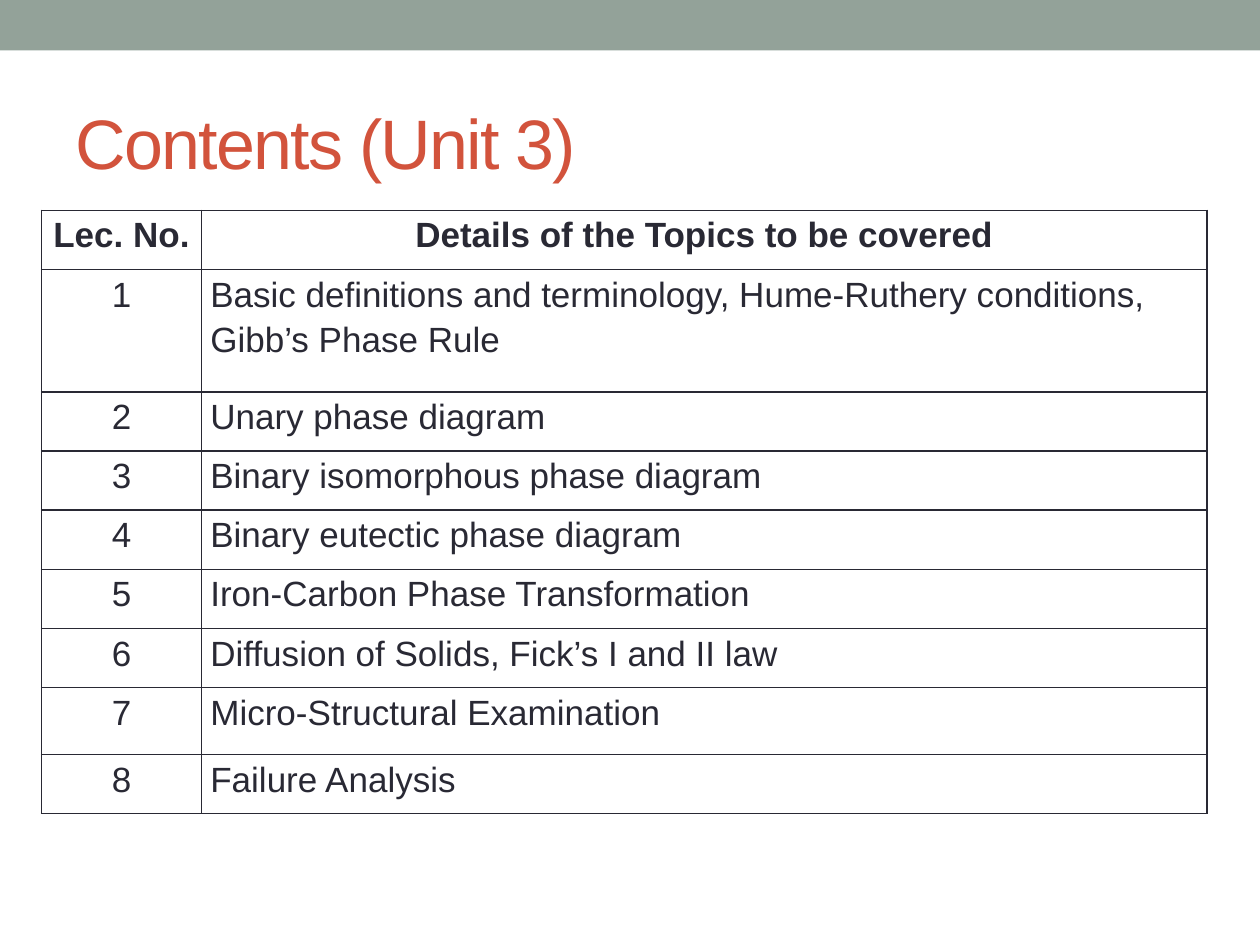
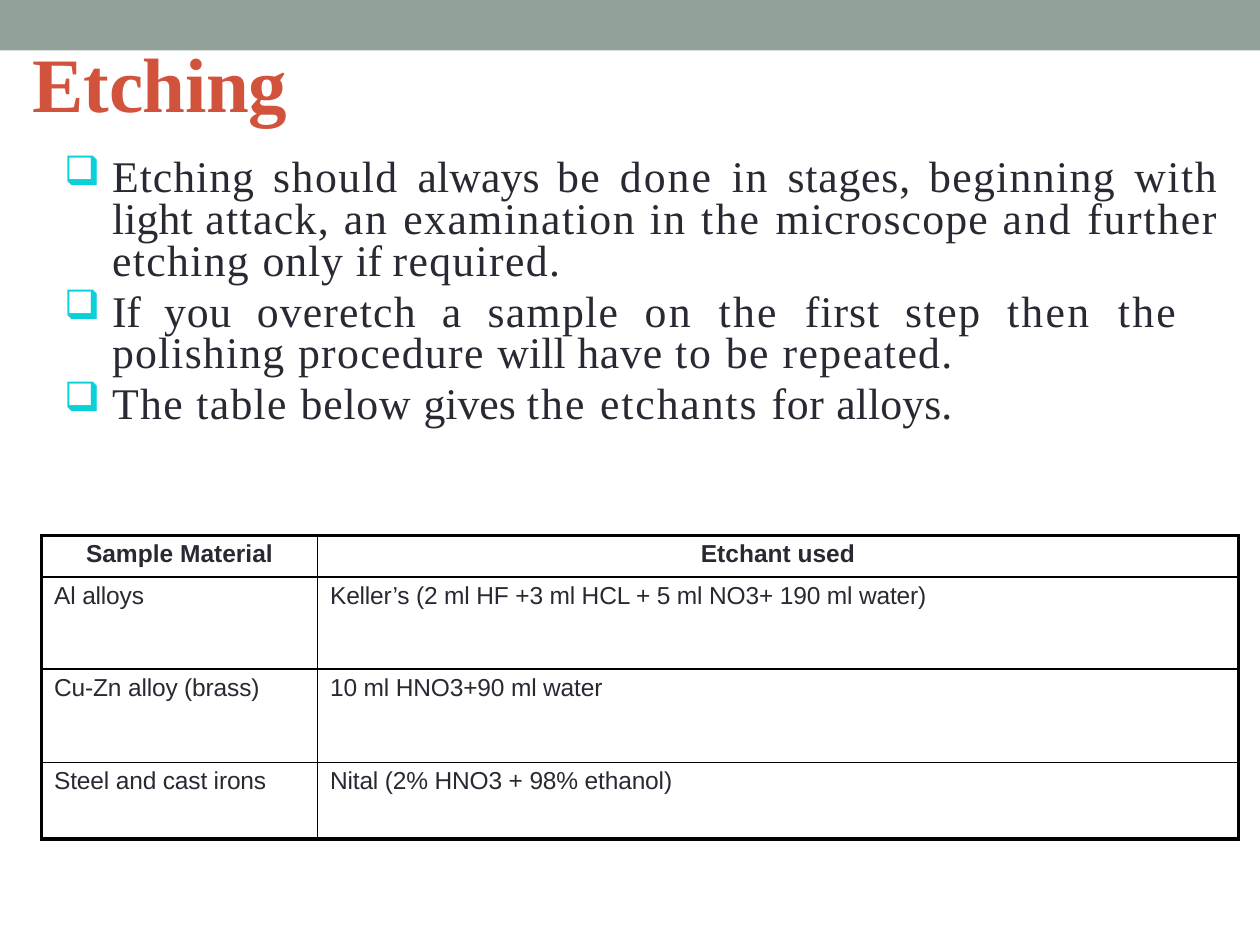
from dataclasses import dataclass

from lxml import etree
from pptx import Presentation
from pptx.dml.color import RGBColor
from pptx.enum.shapes import MSO_SHAPE as Preset
from pptx.enum.text import MSO_ANCHOR as Anchor, PP_ALIGN as Align
from pptx.oxml.ns import qn
from pptx.util import Inches, Pt


@dataclass(frozen=True)
class Theme:
    band: str = "93A299"
    title: str = "D2533C"
    ink: str = "292934"
    rule: str = "000000"
    bullet: str = "0AD0D9"
    sans: str = "Arial"
    serif: str = "Times New Roman"
    contents_title: float = 40
    etching_title: float = 44
    body: float = 25
    topics: float = 20
    etchants: float = 14
    thin: float = 1
    thick: float = 2.25


@dataclass(frozen=True)
class Box:
    """A place on the slide, in grid columns and rows."""
    left: float
    top: float
    width: float
    height: float

    def place(self):
        return [grid(n) for n in (self.left, self.top, self.width, self.height)]


@dataclass(frozen=True)
class TableStyle:
    size: float
    line_color: str
    frame: float
    inset: tuple
    line_spacing: float = 1.0
    tracking: float = 0
    number_column: bool = False


THEME = Theme()
COLUMNS, ROWS = 100, 75
UNIT = Inches(10) // COLUMNS

BAND = Box(0, 0, COLUMNS, 4)
CONTENTS_TITLE = Box(5, 5.8, 90, 10.8)
TOPICS_TABLE = Box(3.3, 16.7, 92.5, 48.1)
ETCHING_TITLE = Box(2.5, 2.5, 24.3, 7.8)
ADVICE = Box(5, 11.7, 91.7, 26.1)
ETCHANT_TABLE = Box(3.3, 42.5, 95, 24.2)

TOPICS = [
    "Basic definitions and terminology, Hume-Ruthery conditions, Gibb’s Phase Rule",
    "Unary phase diagram",
    "Binary isomorphous phase diagram",
    "Binary eutectic phase diagram",
    "Iron-Carbon Phase Transformation",
    "Diffusion of Solids, Fick’s I and II law",
    "Micro-Structural Examination",
    "Failure Analysis",
]

ETCHANTS = [
    ("Sample Material", "Etchant used"),
    ("Al alloys", "Keller’s (2 ml HF +3 ml HCL + 5 ml NO3+ 190 ml water)"),
    ("Cu-Zn alloy (brass)", "10 ml HNO3+90 ml water"),
    ("Steel and cast irons", "Nital (2% HNO3 + 98% ethanol)"),
]

# Each point: right margin in grid columns, then words with their letter spacing.
ADVICE_POINTS = [
    (0, [("Etching ", 0.6), ("should ", 0.9), ("always ", 0.1), ("be ", 0.9),
         ("done ", 1.2), ("in ", 0.9), ("stages, ", 0.5), ("beginning ", 0.8),
         ("with ", 0.9), ("light ", 0.1), ("attack, ", 0.8), ("an ", 1.2),
         ("examination in ", 0.9), ("the ", 1.3), ("microscope ", 0.7),
         ("and ", 1.4), ("further ", 1), ("etching ", 0.8), ("only ", 0.5),
         ("if ", -0.2), ("required.", 0.8)]),
    (3.2, [("If ", -0.2), ("you ", 0.5), ("overetch ", 0.7), ("a sample ", 0.8),
           ("on the ", 1.3), ("first ", 0.6), ("step ", 0.9), ("then ", 1.4),
           ("the ", 1.3), ("polishing ", 0.7), ("procedure ", 0.8),
           ("will ", 0.1), ("have ", 0.5), ("to ", 1.1), ("be ", 0.9),
           ("repeated.", 0.8)]),
    (0, [("The table ", 0.8), ("below ", 0.5), ("gives ", 0), ("the ", 1.3),
         ("etchants ", 1.1), ("for ", 0.4), ("alloys.", 0.1)]),
]


def grid(units):
    return round(units * UNIT)


def rgb(color):
    return RGBColor.from_string(color)


def style_run(run, size, face, color, bold=False, tracking=0):
    run.font.size = Pt(size)
    run.font.name = face
    run.font.bold = bold
    run.font.color.rgb = rgb(color)
    if tracking:
        run.font._element.set("spc", str(round(tracking * 100)))


def set_insets(target, inset):
    """Set left, top, right and bottom margins of a text frame or cell."""
    (target.margin_left, target.margin_top,
     target.margin_right, target.margin_bottom) = map(Inches, inset)


def add_text_frame(slide, box, inset, anchor=Anchor.TOP):
    frame = slide.shapes.add_textbox(*box.place()).text_frame
    frame.word_wrap = True
    frame.vertical_anchor = anchor
    set_insets(frame, inset)
    return frame


def add_band(slide, box):
    band = slide.shapes.add_shape(Preset.RECTANGLE, *box.place())
    band.shadow.inherit = False
    band.fill.solid()
    band.fill.fore_color.rgb = rgb(THEME.band)
    band.line.fill.background()


def add_title(slide, box, title, size, face, inset, bold=False, tracking=0):
    frame = add_text_frame(slide, box, inset, Anchor.MIDDLE)
    frame.text = title
    style_run(frame.paragraphs[0].runs[0], size, face, THEME.title, bold, tracking)


def add_bullet(paragraph, right_margin):
    props = paragraph._p.get_or_add_pPr()
    props.set("marL", str(Inches(0.39)))
    props.set("indent", str(Inches(-0.38)))
    props.set("marR", str(grid(right_margin)))
    color = etree.SubElement(props, qn("a:buClr"))
    etree.SubElement(color, qn("a:srgbClr"), val=THEME.bullet)
    etree.SubElement(props, qn("a:buSzPct"), val="93000")
    etree.SubElement(props, qn("a:buChar"), char="❑")


def add_advice(slide, box, points):
    frame = add_text_frame(slide, box, (0, 0.1, 0, 0))
    for index, (right_margin, words) in enumerate(points):
        point = frame.add_paragraph() if index else frame.paragraphs[0]
        add_bullet(point, right_margin)
        point.alignment = Align.JUSTIFY
        point.line_spacing = Pt(23.8)
        if index:
            point.space_before = Pt(5.2)
        for word, tracking in words:
            run = point.add_run()
            run.text = word
            style_run(run, THEME.body, THEME.serif, THEME.ink, tracking=tracking)


def draw_borders(cell, color, widths):
    """Draw the left, right, top and bottom borders of a cell."""
    props = cell._tc.get_or_add_tcPr()
    for side, width in zip("LRTB", widths):
        line = etree.SubElement(props, qn(f"a:ln{side}"), w=str(Pt(width)))
        fill = etree.SubElement(line, qn("a:solidFill"))
        etree.SubElement(fill, qn("a:srgbClr"), val=color)


def add_ruled_table(slide, box, rows, column_widths, row_heights, style):
    last_row, last_column = len(rows) - 1, len(column_widths) - 1
    table = slide.shapes.add_table(len(rows), len(column_widths), *box.place()).table
    table.first_row = table.horz_banding = False
    for column, width in zip(table.columns, column_widths):
        column.width = grid(width)
    for row, height in zip(table.rows, row_heights):
        row.height = grid(height)

    for r, texts in enumerate(rows):
        for c, text in enumerate(texts):
            cell = table.cell(r, c)
            edges = (c == 0, c == last_column, r == 0, r == last_row)
            draw_borders(cell, style.line_color,
                         [style.frame if edge else THEME.thin for edge in edges])
            cell.fill.background()
            set_insets(cell, style.inset)
            cell.text_frame.text = text
            paragraph = cell.text_frame.paragraphs[0]
            paragraph.line_spacing = style.line_spacing
            header = r == 0
            centred = header or (style.number_column and c == 0)
            paragraph.alignment = Align.CENTER if centred else Align.LEFT
            style_run(paragraph.runs[0], style.size, THEME.sans, THEME.ink,
                      header, 0 if header else style.tracking)


def add_banded_slide(deck):
    slide = deck.slides.add_slide(deck.slide_layouts[6])
    add_band(slide, BAND)
    return slide


def build_contents(deck):
    slide = add_banded_slide(deck)
    add_title(slide, CONTENTS_TITLE, "Contents (Unit 3)", THEME.contents_title,
              THEME.sans, (0.1, 0.05, 0.1, 0.05), tracking=-1)
    lectures = [(str(number), topic) for number, topic in enumerate(TOPICS, 1)]
    rows = [("Lec. No.", "Details of the Topics to be covered"), *lectures]
    heights = [4.7, 9.7] + [4.7] * 5 + [5.3, 4.7]
    style = TableStyle(THEME.topics, THEME.ink, THEME.thin, (0.07, 0, 0.07, 0),
                       line_spacing=1.15, number_column=True)
    add_ruled_table(slide, TOPICS_TABLE, rows, (12.7, 79.8), heights, style)


def build_etching(deck):
    slide = add_banded_slide(deck)
    add_title(slide, ETCHING_TITLE, "Etching", THEME.etching_title, THEME.serif,
              (0.01, 0.02, 0, 0), bold=True, tracking=-0.2)
    add_advice(slide, ADVICE, ADVICE_POINTS)
    style = TableStyle(THEME.etchants, THEME.rule, THEME.thick,
                       (0.1, 0.04, 0.1, 0), tracking=-0.1)
    add_ruled_table(slide, ETCHANT_TABLE, ETCHANTS, (21.9, 73.1),
                    (3.3, 7.3, 7.4, 6.1), style)


def main():
    deck = Presentation()
    deck.slide_width = COLUMNS * UNIT
    deck.slide_height = ROWS * UNIT
    build_contents(deck)
    build_etching(deck)
    deck.save("out.pptx")


if __name__ == "__main__":
    main()
